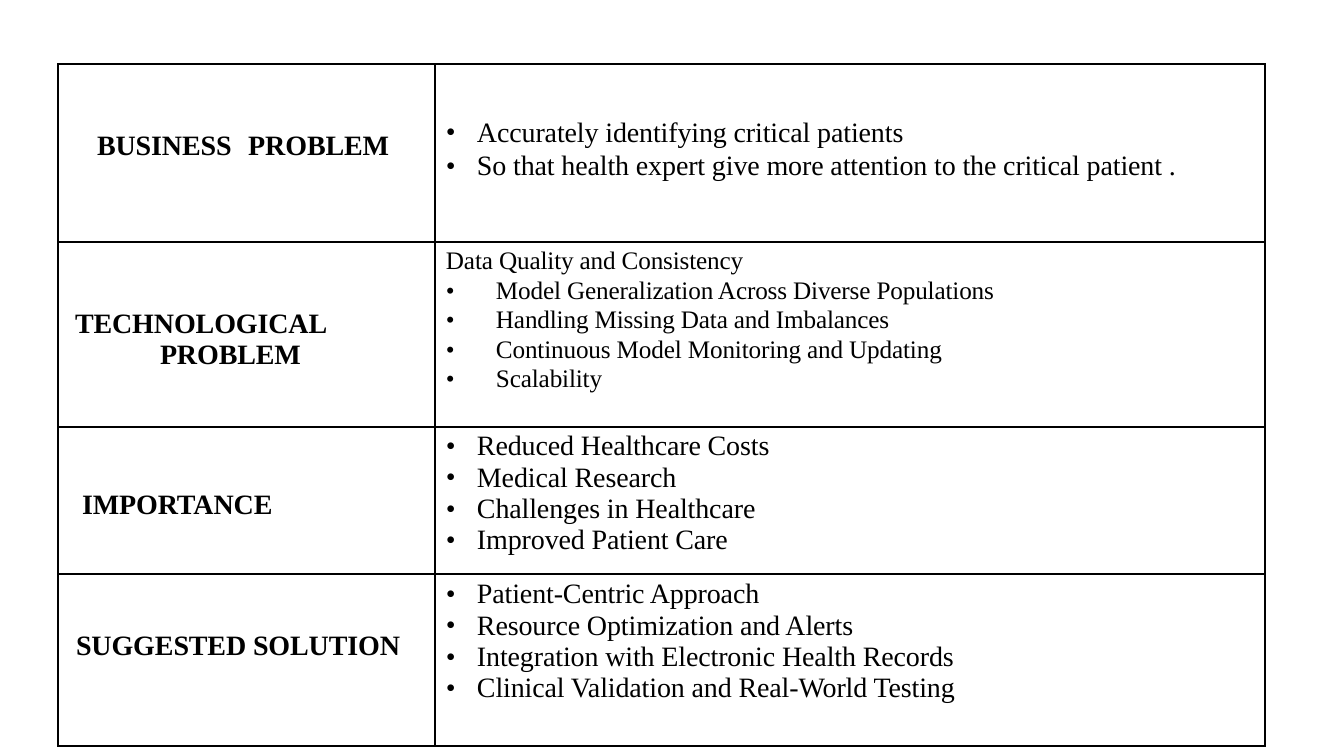
import pptx
import pptx.dml.color
import pptx.oxml
import pptx.oxml.ns
import pptx.util

# Content: label lines as (text, indent px), then the points of each row
ROWS = [
    {"height": 178, "label_top": 66, "label": [("BUSINESS\tPROBLEM", 39)],
     "points_top": 51, "size": 20, "leading": 23.6, "indent": 42, "hanging": 31,
     "points": ["Accurately identifying critical patients",
                "So that health expert give more attention to the critical patient ."]},
    {"height": 185, "label_top": 66, "label": [("TECHNOLOGICAL", 17), ("PROBLEM", 102)],
     "points_top": 4, "size": 18, "leading": 21, "indent": 61, "hanging": 50,
     "heading": "Data Quality and Consistency",
     "points": ["Model Generalization Across Diverse Populations",
                "Handling Missing Data and Imbalances",
                "Continuous Model Monitoring and Updating",
                "Scalability"]},
    {"height": 147, "label_top": 62, "label": [("IMPORTANCE", 24)],
     "points_top": 4, "size": 20, "leading": None, "indent": 42, "hanging": 31,
     "points": ["Reduced Healthcare Costs", "Medical Research",
                "Challenges in Healthcare", "Improved Patient Care"]},
    {"height": 172, "label_top": 57, "label": [("SUGGESTED SOLUTION", 18)],
     "points_top": 5, "size": 20, "leading": None, "indent": 42, "hanging": 31,
     "points": ["Patient-Centric Approach", "Resource Optimization and Alerts",
                "Integration with Electronic Health Records",
                "Clinical Validation and Real-World Testing"]},
]
COLUMNS = [377, 830]
TABLE_LEFT, TABLE_TOP = 58, 64
LABEL_TAB = 190
HEADING_INDENT = 11
FONT, INK = "Times New Roman", "000000"


def px(length):
    return pptx.util.Emu(round(length * 914400 / 100.8))


def color(hex_string):
    return pptx.dml.color.RGBColor.from_string(hex_string)


def add_child(parent, tag, **attributes):
    child = pptx.oxml.ns.qn(tag)
    element = parent.makeelement(child, {key: str(value) for key, value in attributes.items()})
    parent.append(element)
    return element


def write(cell, text, size=20, bold=False, indent=0, hanging=0, bullet=False,
          leading=None, tab=None):
    """Put the text in the cell's first paragraph, or in a new one after it."""
    frame = cell.text_frame
    paragraph = frame.add_paragraph() if frame.text else frame.paragraphs[0]
    if leading:
        paragraph.line_spacing = pptx.util.Pt(leading)
    run = paragraph.add_run()
    run.text = text
    run.font.name = FONT
    run.font.size = pptx.util.Pt(size)
    run.font.bold = bold
    run.font.color.rgb = color(INK)
    run.font._element.set("spc", "-10")
    properties = paragraph._p.get_or_add_pPr()
    properties.set("marL", str(px(indent)))
    properties.set("indent", str(px(-hanging)))
    if bullet:
        add_child(properties, "a:buFont", typeface=FONT)
        add_child(properties, "a:buChar", char="•")
    else:
        add_child(properties, "a:buNone")
    if tab:
        add_child(add_child(properties, "a:tabLst"), "a:tab", pos=px(tab), algn="l")


def prepare(cell, top):
    """Set the margins, the black border and an empty fill."""
    cell.margin_left = cell.margin_right = cell.margin_bottom = 0
    cell.margin_top = px(top)
    properties = cell._tc.get_or_add_tcPr()
    for side in ("a:lnL", "a:lnR", "a:lnT", "a:lnB"):
        line = add_child(properties, side, w=pptx.util.Pt(1))
        add_child(add_child(line, "a:solidFill"), "a:srgbClr", val=INK)
    cell.fill.background()


def main():
    presentation = pptx.Presentation()
    presentation.slide_width, presentation.slide_height = px(1344), px(756)
    slide = presentation.slides.add_slide(presentation.slide_layouts[6])

    # Table frame
    height = sum(row["height"] for row in ROWS)
    table = slide.shapes.add_table(len(ROWS), len(COLUMNS), px(TABLE_LEFT), px(TABLE_TOP),
                                   px(sum(COLUMNS)), px(height)).table
    table.first_row = table.horz_banding = False
    for column, width in zip(table.columns, COLUMNS):
        column.width = px(width)

    # Labels on the left, points on the right
    for index, row in enumerate(ROWS):
        table.rows[index].height = px(row["height"])
        label, points = table.cell(index, 0), table.cell(index, 1)
        prepare(label, row["label_top"])
        prepare(points, row["points_top"])
        for text, indent in row["label"]:
            write(label, text, bold=True, indent=indent,
                  tab=LABEL_TAB if "\t" in text else None)
        if "heading" in row:
            write(points, row["heading"], size=row["size"], indent=HEADING_INDENT,
                  leading=row["leading"])
        for text in row["points"]:
            write(points, text, size=row["size"], indent=row["indent"],
                  hanging=row["hanging"], bullet=True, leading=row["leading"])

    presentation.save("out.pptx")


if __name__ == "__main__":
    main()
